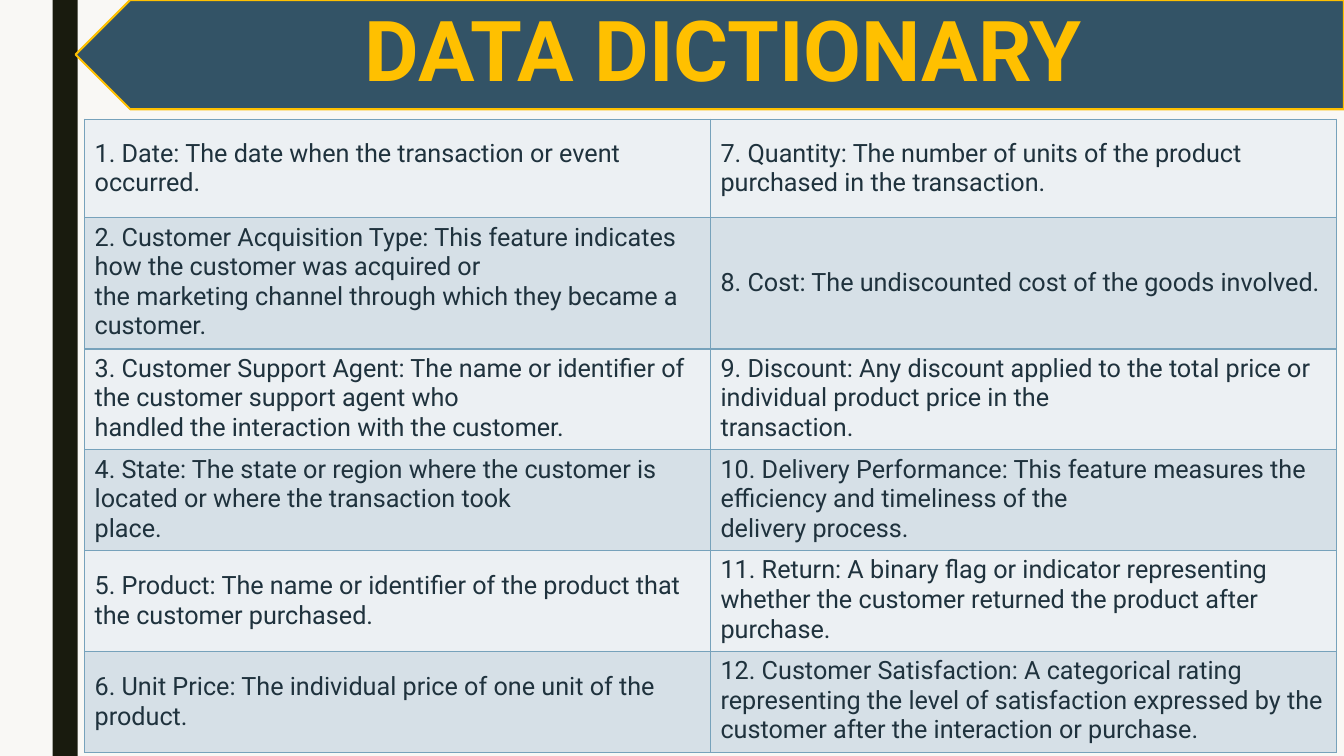
"""Build the data dictionary slide."""
from dataclasses import dataclass

from lxml import etree
from pptx import Presentation
from pptx.dml.color import RGBColor
from pptx.enum import shapes, text
from pptx.oxml import ns
from pptx.util import Pt

FONT = "Roboto"
GOLD, SLATE, INK, BORDER = "FFC000", "335366", "1F323D", "77A2BB"
BANDS = ("ECF0F3", "D6E0E7")
TABLE_LEFT, TABLE_TOP, COLUMN_WIDTH = 60.4, 85.2, 447.1
ROW_HEIGHTS = (70.4, 93.2, 71.5, 71.5, 71.5, 71.5)


@dataclass(frozen=True)
class Box:
    left: float
    top: float
    width: float
    height: float

    def lengths(self) -> tuple[Pt, Pt, Pt, Pt]:
        return Pt(self.left), Pt(self.top), Pt(self.width), Pt(self.height)


@dataclass(frozen=True)
class Entry:
    lines: tuple[str, ...]
    middle: bool = False


LEFT_ENTRIES = (
    Entry(("1. Date: The date when the transaction or event occurred.",), True),
    Entry(("2. Customer Acquisition Type: This feature indicates how the customer was acquired or",
           "the marketing channel through which they became a customer.")),
    Entry(("3. Customer Support Agent: The name or identifier of the customer support agent who",
           "handled the interaction with the customer.")),
    Entry(("4. State: The state or region where the customer is located or where the transaction took",
           "place.")),
    Entry(("5. Product: The name or identifier of the product that the customer purchased.",), True),
    Entry(("6. Unit Price: The individual price of one unit of the product.",), True),
)
RIGHT_ENTRIES = (
    Entry(("7. Quantity: The number of units of the product purchased in the transaction.",), True),
    Entry(("8. Cost: The undiscounted cost of the goods involved.",), True),
    Entry(("9. Discount: Any discount applied to the total price or individual product price in the",
           "transaction.")),
    Entry(("10. Delivery Performance: This feature measures the efficiency and timeliness of the",
           "delivery process.")),
    Entry(("11. Return: A binary flag or indicator representing whether the customer returned "
           "the product after purchase.",)),
    Entry(("12. Customer Satisfaction: A categorical rating representing the level of satisfaction "
           "expressed by the customer after the interaction or purchase.",)),
)


def paint(fill, color: str) -> None:
    fill.solid()
    fill.fore_color.rgb = RGBColor.from_string(color)


def add_run(p, words: str, size: float, color: str, bold: bool = False) -> None:
    r = p.add_run()
    r.text = words
    r.font.name, r.font.size, r.font.bold = FONT, Pt(size), bold
    paint(r.font.fill, color)


def add_block(s, kind, box: Box, color: str):
    sp = s.shapes.add_shape(kind, *box.lengths())
    sp.shadow.inherit = False
    paint(sp.fill, color)
    sp.line.fill.background()
    return sp


def add_title(s, box: Box, words: str) -> None:
    tf = s.shapes.add_textbox(*box.lengths()).text_frame
    tf.word_wrap = True
    tf.vertical_anchor = text.MSO_ANCHOR.MIDDLE
    tf.margin_left = tf.margin_right = Pt(34)
    tf.margin_top = tf.margin_bottom = Pt(18)
    p = tf.paragraphs[0]
    p.alignment, p.line_spacing = text.PP_ALIGN.CENTER, 0.9
    add_run(p, words, 60, GOLD, True)


def add_borders(cell) -> None:
    tc_pr = cell._tc.get_or_add_tcPr()
    for side in ("lnL", "lnR", "lnT", "lnB"):
        ln = etree.SubElement(tc_pr, ns.qn(f"a:{side}"), w=str(Pt(1)))
        solid = etree.SubElement(ln, ns.qn("a:solidFill"))
        etree.SubElement(solid, ns.qn("a:srgbClr"), val=BORDER)


def fill_cell(cell, entry: Entry, color: str) -> None:
    add_borders(cell)
    paint(cell.fill, color)
    cell.vertical_anchor = text.MSO_ANCHOR.MIDDLE if entry.middle else text.MSO_ANCHOR.TOP
    tf = cell.text_frame
    for i, line in enumerate(entry.lines):
        p = tf.add_paragraph() if i else tf.paragraphs[0]
        add_run(p, line, 18, INK)


def add_dictionary(s) -> None:
    box = Box(TABLE_LEFT, TABLE_TOP, 2 * COLUMN_WIDTH, sum(ROW_HEIGHTS))
    table = s.shapes.add_table(len(ROW_HEIGHTS), 2, *box.lengths()).table
    table.first_row = table.horz_banding = False
    for row, height in zip(table.rows, ROW_HEIGHTS):
        row.height = Pt(height)
    for i, pair in enumerate(zip(LEFT_ENTRIES, RIGHT_ENTRIES)):
        for j, entry in enumerate(pair):
            fill_cell(table.cell(i, j), entry, BANDS[i % 2])


def main() -> None:
    prs = Presentation()
    prs.slide_width, prs.slide_height = Pt(960), Pt(540)
    s = prs.slides.add_slide(prs.slide_layouts[6])
    paint(s.background.fill, "F9F8F5")
    add_block(s, shapes.MSO_SHAPE.RECTANGLE, Box(37.5, 0, 18, 540), "191B0E")
    banner = add_block(s, shapes.MSO_SHAPE.PENTAGON, Box(54, 0, 906, 78), SLATE)
    banner.rotation = 180
    paint(banner.line.fill, GOLD)
    banner.line.width = Pt(1.5)
    add_title(s, Box(73.5, 0, 886.5, 78), "DATA DICTIONARY")
    add_dictionary(s)
    prs.save("out.pptx")


if __name__ == "__main__":
    main()
